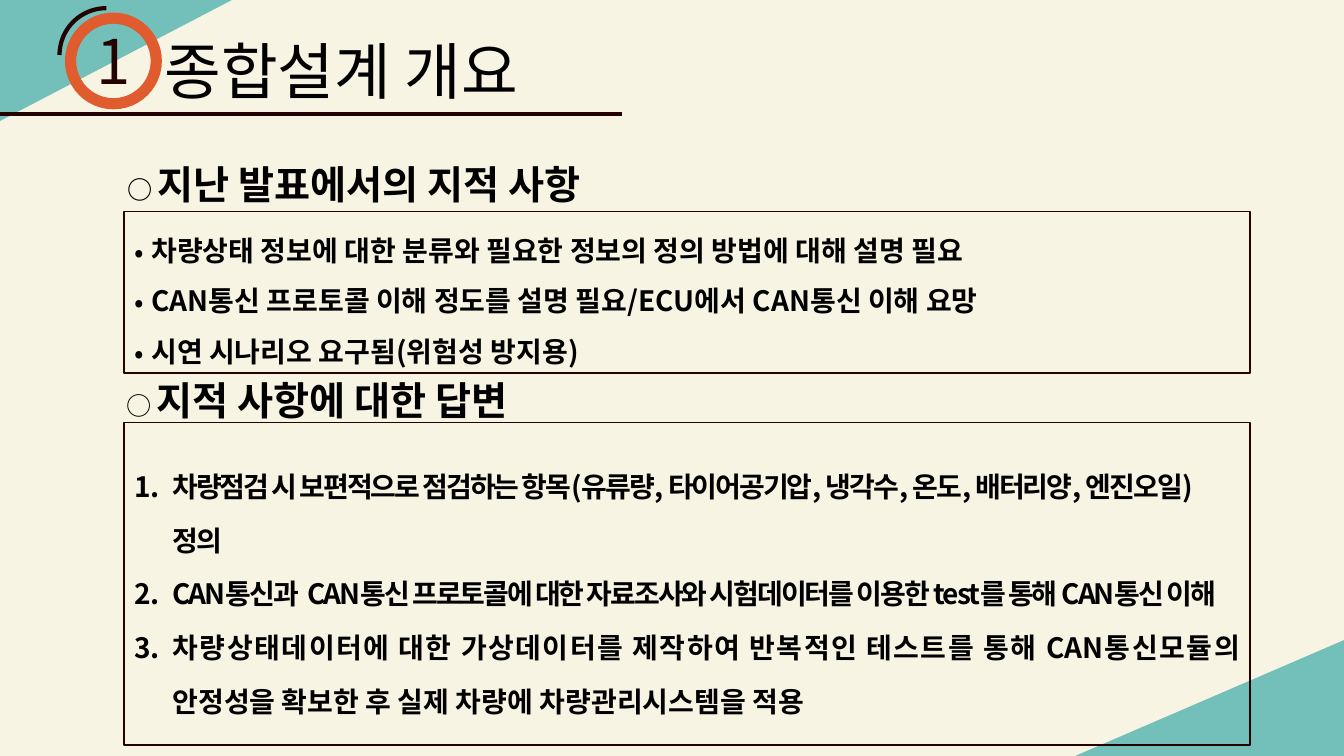
"""Build the slide on the review comments for the design project and the answers to them."""
from lxml.etree import SubElement
from pptx import Presentation
from pptx.dml.color import RGBColor
from pptx.enum.shapes import MSO_CONNECTOR, MSO_SHAPE
from pptx.enum.text import MSO_ANCHOR, MSO_AUTO_SIZE, PP_ALIGN
from pptx.oxml.ns import qn
from pptx.util import Inches, Pt

CREAM = RGBColor(0xF7, 0xF4, 0xE3)
TEAL = RGBColor(0x73, 0xC0, 0xBA)
ORANGE = RGBColor(0xE0, 0x5B, 0x2E)
DARK = RGBColor(0x24, 0x02, 0x02)
BLACK = RGBColor(0, 0, 0)
FONT = "Noto Sans CJK KR"

prs = Presentation()
prs.slide_width, prs.slide_height = Inches(13.33), Inches(7.5)
s = prs.slides.add_slide(prs.slide_layouts.get_by_name("Comparison"))
s.background.fill.solid()
s.background.fill.fore_color.rgb = CREAM


def at(x, y, w, h):
    """Turn percentages of the slide's size into lengths."""
    return [int(prs.slide_width * x / 100), int(prs.slide_height * y / 100),
            int(prs.slide_width * w / 100), int(prs.slide_height * h / 100)]


def write(p, text, size=20, bold=False, color=BLACK, align=PP_ALIGN.LEFT, track=0):
    """Add a formatted run to a paragraph."""
    p.alignment = align
    p.space_before = Pt(0)
    r = p.add_run()
    r.text = text
    r.font.size, r.font.bold, r.font.name = Pt(size), bold, FONT
    r.font.color.rgb = color
    rPr = r.font._element
    rPr.set("spc", str(int(track * 100)))
    SubElement(rPr, qn("a:ea")).set("typeface", FONT)


corners = [((80, 84.67, 20, 15.33), 0), ((0, 0, 17.25, 16), 180)]
for z, (area, turn) in enumerate(corners):
    sp = s.shapes.add_shape(MSO_SHAPE.ISOSCELES_TRIANGLE, *at(*area))
    sp.adjustments[0] = 0
    sp.rotation = turn
    sp.shadow.inherit = False
    sp.fill.solid()
    sp.fill.fore_color.rgb = TEAL
    sp.line.fill.background()
    sp._element.spPr.find(qn("a:xfrm")).set("flipH", "1")
    s.shapes._spTree.insert(2 + z, sp._element)

areas = {
    0: (11.48, 3.73, 37.13, 11.2),
    1: (8.7, 20.53, 81.38, 7.6),
    2: (9.23, 28, 83.78, 21.33),
    3: (8.63, 49.07, 81.38, 7.6),
    4: (9.23, 55.87, 83.78, 42.67),
}
for sp in s.placeholders:
    idx = sp.placeholder_format.idx
    sp.left, sp.top, sp.width, sp.height = at(*areas[idx])
    tf = sp.text_frame
    tf.word_wrap = True
    tf.auto_size = MSO_AUTO_SIZE.NONE
    tf.vertical_anchor = MSO_ANCHOR.MIDDLE if idx in (2, 4) else MSO_ANCHOR.TOP

write(s.shapes.title.text_frame.paragraphs[0], "종합설계 개요", size=44)

for idx, heading, ring_bold in [(1, "지난 발표에서의 지적 사항", True),
                                (3, "지적 사항에 대한 답변", False)]:
    p = s.placeholders[idx].text_frame.paragraphs[0]
    write(p, "○ ", size=18, bold=ring_bold)
    write(p, heading, size=28, bold=True)

comments = [
    ("차량상태 정보에 대한 분류와 필요한 정보의 정의 방법에 대해 설명 필요", {}),
    ("CAN통신 프로토콜 이해 정도를 설명 필요/ECU에서 CAN통신 이해 요망", {}),
    ("시연 시나리오 요구됨(위험성 방지용)", {}),
]
answers = [
    ("차량점검 시 보편적으로 점검하는 항목(유류량, 타이어공기압, 냉각수, 온도, 배터리양, 엔진오일)정의",
     {"track": -1.5}),
    ("CAN통신과  CAN통신 프로토콜에 대한 자료조사와 시험데이터를 이용한 test를 통해 CAN통신 이해",
     {"track": -1.5}),
    ("차량상태데이터에 대한 가상데이터를 제작하여 반복적인 테스트를 통해 CAN통신모듈의 "
     "안정성을 확보한 후 실제 차량에 차량관리시스템을 적용", {"align": PP_ALIGN.JUSTIFY}),
]
lists = [
    (2, comments, 1.5, 0.17, "a:buChar", ("char", "•")),
    (4, answers, 1.6, 0.38, "a:buAutoNum", ("type", "arabicPeriod")),
]
for idx, items, spacing, indent, tag, mark in lists:
    sp = s.placeholders[idx]
    sp.line.color.rgb = DARK
    sp.line.width = Pt(1)
    tf = sp.text_frame
    for i, (text, fmt) in enumerate(items):
        p = tf.add_paragraph() if i else tf.paragraphs[0]
        write(p, text, bold=True, **fmt)
        p.line_spacing = spacing
        pPr = p._p.get_or_add_pPr()
        pPr.set("marL", str(Inches(indent)))
        pPr.set("indent", str(-Inches(indent)))
        SubElement(pPr, qn("a:buFont")).set("typeface", FONT)
        SubElement(pPr, qn(tag)).set(*mark)

x, y, w, h = at(0, 15.07, 46.28, 0)
rule = s.shapes.add_connector(MSO_CONNECTOR.STRAIGHT, x, y, x + w, y + h)
rule.line.color.rgb = DARK
rule.line.width = Pt(3)
SubElement(rule._element.spPr, qn("a:effectLst"))

badge = [
    (MSO_SHAPE.OVAL, (5.25, 2.4, 6.38, 11.33), 0, ORANGE, 8),
    (MSO_SHAPE.ARC, (4.43, 1.07, 6.98, 12.4), 270, DARK, 3),
]
for kind, area, turn, color, width in badge:
    sp = s.shapes.add_shape(kind, *at(*area))
    sp.rotation = turn
    sp.shadow.inherit = False
    sp.fill.background()
    sp.line.color.rgb = color
    sp.line.width = Pt(width)

tf = s.shapes.add_textbox(*at(5.4, 2.4, 6.08, 11.2)).text_frame
tf.word_wrap = True
write(tf.paragraphs[0], "1", size=44, color=DARK, align=PP_ALIGN.CENTER)

prs.save("out.pptx")
